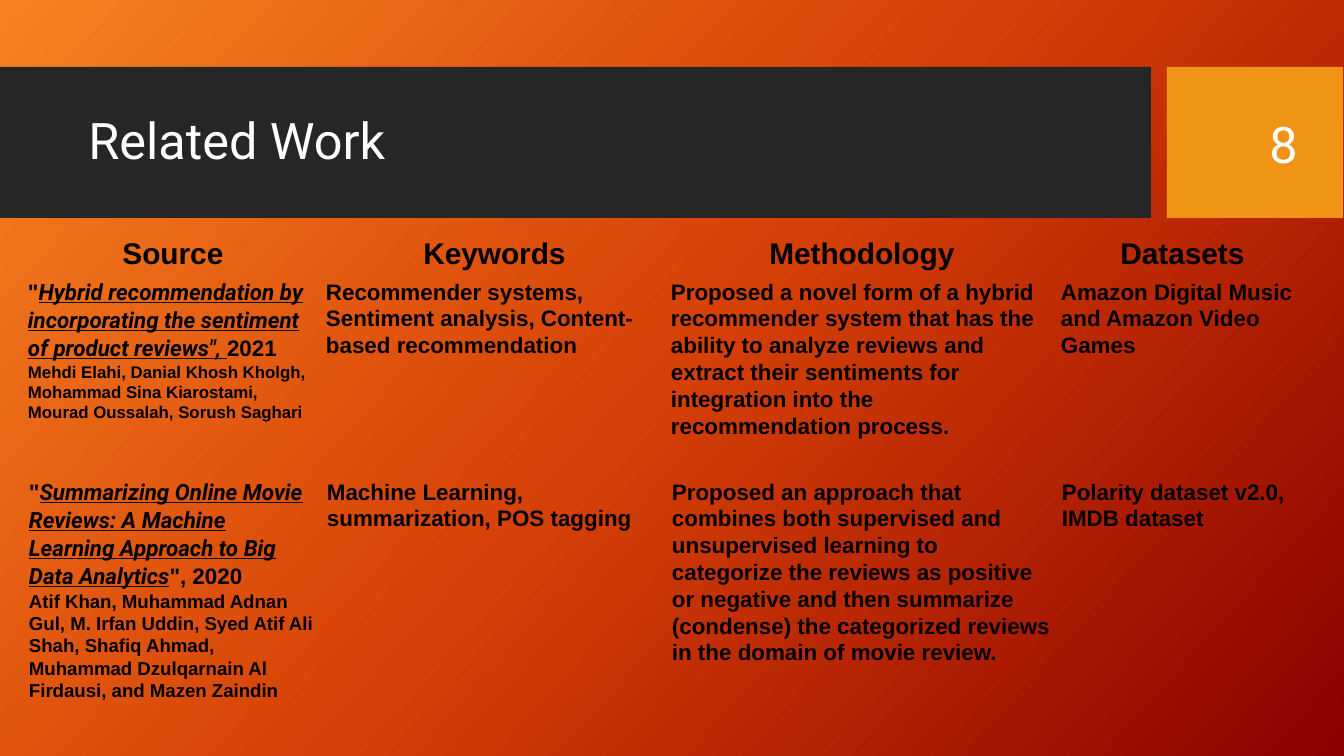
from copy import deepcopy

from pptx import Presentation
from pptx.dml.color import RGBColor
from pptx.enum.shapes import MSO_SHAPE
from pptx.enum.text import MSO_ANCHOR, MSO_AUTO_SIZE, PP_ALIGN
from pptx.util import Emu, Pt

RECT = MSO_SHAPE.RECTANGLE
MIDDLE = MSO_ANCHOR.MIDDLE
NO_FIT = MSO_AUTO_SIZE.NONE
LEFT, CENTER, RIGHT = PP_ALIGN.LEFT, PP_ALIGN.CENTER, PP_ALIGN.RIGHT
PLAIN_STYLE = "{2D5ABB26-0587-4C30-8999-92F81FD0307C}"

TITLE = "Related Work"
NUMBER = "8"
GRADIENT = [(0, "F78121"), (0.5, "D54006"), (1, "8C0000")]
BARS = [((0, 67, 1151, 151), "262626"), ((1167, 67, 176, 151), "F09415")]
TITLE_BOX = (75, 83, 1060, 120)
NUMBER_BOX = (1183, 83, 128, 120)

HEADERS = ["Source", "Keywords", "Methodology", "Datasets"]
STUDIES = [
    {
        "source": ('"', 'Hybrid recommendation by incorporating the sentiment of product reviews", ', "2021"),
        "authors": "Mehdi Elahi, Danial Khosh Kholgh, Mohammad Sina Kiarostami, Mourad Oussalah, Sorush Saghari",
        "author_size": 9,
        "inset": 4,
        "details": [
            "Recommender systems, Sentiment analysis, Content-based recommendation",
            "Proposed a novel form of a hybrid recommender system that has the ability to analyze reviews "
            "and extract their sentiments for integration into the recommendation process.",
            "Amazon Digital Music and Amazon Video Games",
        ],
    },
    {
        "source": ('"', "Summarizing Online Movie Reviews: A Machine Learning Approach to Big Data Analytics", '", 2020'),
        "authors": "Atif Khan, Muhammad Adnan Gul, M. Irfan Uddin, Syed Atif Ali Shah, Shafiq Ahmad, "
                   "Muhammad Dzulqarnain Al Firdausi, and Mazen Zaindin",
        "author_size": 10,
        "inset": 5,
        "details": [
            "Machine Learning, summarization, POS tagging",
            "Proposed an approach that combines both supervised and unsupervised learning to categorize "
            "the reviews as positive or negative and then summarize (condense) the categorized reviews "
            "in the domain of movie review.",
            "Polarity dataset v2.0, IMDB dataset",
        ],
    },
]
TABLE_AT = (24, 235)
COLUMNS = [298, 345, 390, 251]
ROWS = [43, 200, 247]


def px(n):
    return Emu(round(n * 914400 / 134.4))


def rgb(color):
    return RGBColor.from_string(color)


def add_run(p, text, size, font="Arial", color="000000", bold=True, cited=False):
    r = p.add_run()
    r.text = text
    r.font.size = Pt(size)
    r.font.name = font
    r.font.bold = bold
    r.font.italic = r.font.underline = cited
    r.font.color.rgb = rgb(color)


def write_heading(sp, text, align, spacing):
    tf = sp.text_frame
    tf.word_wrap = True
    tf.auto_size = NO_FIT
    tf.vertical_anchor = MIDDLE
    p = tf.paragraphs[0]
    p.alignment = align
    p.line_spacing = spacing
    add_run(p, text, 27, "Roboto", "FFFFFF", False)


def fill_cell(cell, inset, paragraphs, align=LEFT):
    cell.fill.background()
    cell.margin_left = cell.margin_right = px(inset)
    cell.margin_top = cell.margin_bottom = 0
    tf = cell.text_frame
    for i, runs in enumerate(paragraphs):
        p = tf.add_paragraph() if i else tf.paragraphs[0]
        p.alignment = align
        p.line_spacing = 1.07
        for text, size, cited in runs:
            add_run(p, text, size, "Roboto" if cited else "Arial", cited=cited)


prs = Presentation()
prs.slide_width, prs.slide_height = px(1344), px(756)
s = prs.slides.add_slide(prs.slide_layouts[5])

fill = s.background.fill
fill.gradient()
fill.gradient_angle = 360 - 42
stop_list = s.element.xpath(".//a:gsLst")[0]
stop_list.append(deepcopy(stop_list[0]))
for stop, (position, color) in zip(fill.gradient_stops, GRADIENT):
    stop.position = position
    stop.color.rgb = rgb(color)

for box, color in BARS:
    bar = s.shapes.add_shape(RECT, *map(px, box))
    bar.shadow.inherit = False
    bar.fill.solid()
    bar.fill.fore_color.rgb = rgb(color)
    bar.line.fill.background()

title = s.shapes.title
title.left, title.top, title.width, title.height = map(px, TITLE_BOX)
write_heading(title, TITLE, LEFT, 0.9)
bar.element.addnext(title.element)

number = s.shapes.add_textbox(*map(px, NUMBER_BOX))
write_heading(number, NUMBER, RIGHT, 1)

frame = s.shapes.add_table(len(ROWS), len(COLUMNS), *map(px, (*TABLE_AT, sum(COLUMNS), sum(ROWS))))
table = frame.table
table.first_row = table.horz_banding = False
frame.element.xpath(".//a:tableStyleId")[0].text = PLAIN_STYLE
for column, width in zip(table.columns, COLUMNS):
    column.width = px(width)
for row, height in zip(table.rows, ROWS):
    row.height = px(height)

for c, header in enumerate(HEADERS):
    fill_cell(table.cell(0, c), 4, [[(header, 16, False)]], CENTER)
for r, study in enumerate(STUDIES, 1):
    opening, paper, ending = study["source"]
    citation = [(opening, 12, False), (paper, 12, True), (ending, 12, False)]
    authors = [(study["authors"], study["author_size"], False)]
    fill_cell(table.cell(r, 0), study["inset"], [citation, authors])
    for c, detail in enumerate(study["details"], 1):
        fill_cell(table.cell(r, c), study["inset"], [[(detail, 12, False)]])

prs.save("out.pptx")
